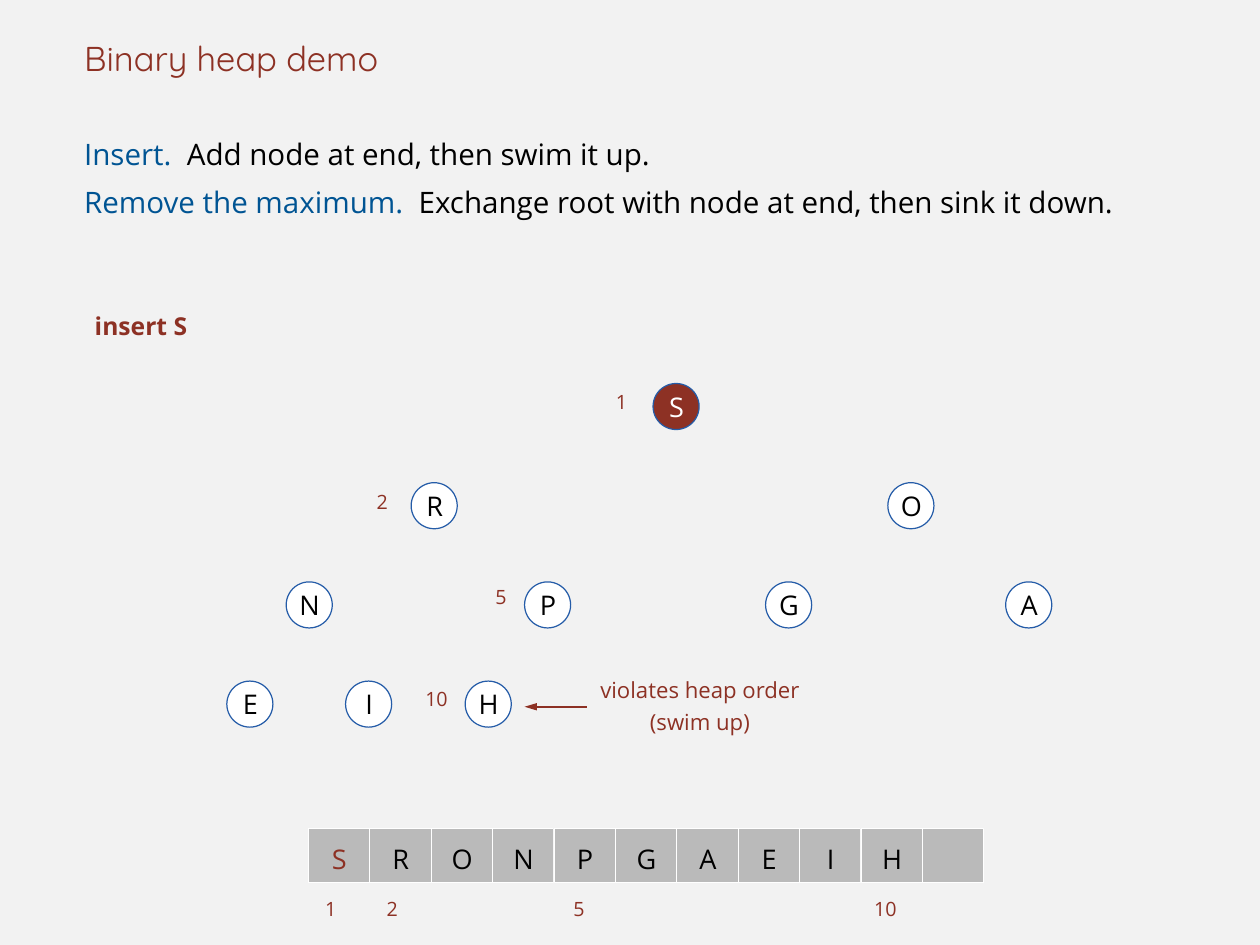
from lxml import etree
from pptx import Presentation
from pptx.dml.color import RGBColor
from pptx.enum import shapes, text
from pptx.oxml import ns
from pptx.util import Inches, Pt

PAPER = RGBColor(0xF2, 0xF2, 0xF2)
RED = RGBColor(0x8D, 0x31, 0x24)
BLUE = RGBColor(0x00, 0x54, 0x93)
RIM = RGBColor(0x25, 0x5C, 0xA8)
GREY = RGBColor(0xBA, 0xBA, 0xBA)
WHITE = RGBColor(0xFF, 0xFF, 0xFF)
BLACK = RGBColor(0x00, 0x00, 0x00)

SANS = "Open Sans"
LEFT, MID = text.PP_ALIGN.LEFT, text.PP_ALIGN.CENTER
TOP, CENTER, BOTTOM = (text.MSO_ANCHOR.TOP, text.MSO_ANCHOR.MIDDLE,
                       text.MSO_ANCHOR.BOTTOM)

HEAP = "SRONPGAEIH"
SLOTS = 11
NODE_X = [7.63, 4.9, 10.28, 3.49, 6.18, 8.9, 11.61, 2.82, 4.16, 5.51]
# Index label offsets: from the node's centre, and from the array cell's left
NODE_TAGS = {1: (-0.74, -0.19), 2: (-0.71, -0.18), 5: (-0.65, -0.23), 10: (-0.77, -0.19)}
CELL_TAGS = {1: 0.13, 2: 0.13, 5: 0.16, 10: 0.09}


def fill_text(shape, lines, size, font=SANS, bold=False, align=LEFT,
              anchor=TOP, space=1.0, inset=0.06):
    """Write lines, each a list of (words, colour) runs, into a shape."""
    frame = shape.text_frame
    look = {"word_wrap": True, "vertical_anchor": anchor,
            "margin_left": Inches(inset), "margin_right": 0,
            "margin_top": 0, "margin_bottom": 0}
    for name, value in look.items():
        setattr(frame, name, value)
    for i, line in enumerate(lines):
        para = frame.add_paragraph() if i else frame.paragraphs[0]
        para.alignment, para.line_spacing = align, space
        for words, color in line:
            run = para.add_run()
            run.text = words
            for name, value in {"size": Pt(size), "name": font, "bold": bold}.items():
                setattr(run.font, name, value)
            run.font.color.rgb = color


def add_text(slide, box, lines, size, **style):
    fill_text(slide.shapes.add_textbox(*map(Inches, box)), lines, size, **style)


def add_block(slide, kind, box, fill, edge, width, letter, color, space=1.0):
    """Add a filled shape with one centred letter."""
    block = slide.shapes.add_shape(kind, *map(Inches, box))
    block.shadow.inherit = False
    block.fill.solid()
    block.fill.fore_color.rgb = fill
    block.line.color.rgb = edge
    block.line.width = Pt(width)
    if letter:
        fill_text(block, [[(letter, color)]], 22, align=MID, anchor=CENTER,
                  space=space, inset=0.01)


def add_tag(slide, x, y, index, space=1.0):
    width = 0.33 if index < 10 else 0.47
    add_text(slide, (x, y, width, 0.36), [[(str(index), RED)]], 16, space=space)


def add_intro(slide, x, width):
    add_text(slide, (x, 0, width, 0.89), [[("Binary heap demo", RED)]], 28,
             font="Quicksand", anchor=BOTTOM)
    rules = [("Insert.  ", "Add node at end, then swim it up."),
             ("Remove the maximum.  ",
              "Exchange root with node at end, then sink it down.")]
    add_text(slide, (x, 1.39, width, 1.2),
             [[(term, BLUE), (rule, BLACK)] for term, rule in rules],
             24, space=Pt(39))
    add_text(slide, (x + 0.12, 3.51, 1.27, 0.43), [[("insert S", RED)]], 20, bold=True)


def add_tree(slide, top, step, size):
    for index, (letter, x) in enumerate(zip(HEAP, NODE_X), 1):
        y = top + step * (index.bit_length() - 1)
        fill, ink = (RED, WHITE) if index == 1 else (WHITE, BLACK)
        add_block(slide, shapes.MSO_SHAPE.OVAL,
                  (x - size / 2, y - size / 2, size, size), fill, RIM, 1, letter, ink)
        if index in NODE_TAGS:
            dx, dy = NODE_TAGS[index]
            add_tag(slide, x + dx, y + dy, index)


def add_note(slide, x, y):
    """Add the arrow, its tip at x and y, and the remark beside it."""
    arrow = slide.shapes.add_connector(shapes.MSO_CONNECTOR.STRAIGHT,
                                       *map(Inches, (x, y, x + 0.71, y)))
    arrow.line.color.rgb = RED
    arrow.line.width = Pt(2)
    etree.SubElement(arrow.line._get_or_add_ln(), ns.qn("a:headEnd"),
                     type="triangle", w="med", len="lg")
    etree.SubElement(arrow._element.spPr, ns.qn("a:effectLst"))
    add_text(slide, (x + 0.65, y - 0.4, 2.6, 0.75),
             [[("violates heap order", RED)], [("(swim up)", RED)]], 18,
             align=MID, space=1.2)


def add_array(slide, x, y, width, height):
    cell = 0.69
    step = (width - cell) / (SLOTS - 1)
    for i, letter in enumerate(HEAP.ljust(SLOTS)):
        left = x + i * step
        add_block(slide, shapes.MSO_SHAPE.RECTANGLE, (left, y, cell, height),
                  GREY, WHITE, 0.5, letter.strip(), BLACK if i else RED, 1.2)
        if i + 1 in CELL_TAGS:
            add_tag(slide, left + CELL_TAGS[i + 1], y + 0.64, i + 1, 1.5)


def main():
    deck = Presentation()
    deck.slide_width, deck.slide_height = Inches(14.22), Inches(10.67)
    slide = deck.slides.add_slide(deck.slide_layouts[6])
    slide.background.fill.solid()
    slide.background.fill.fore_color.rgb = PAPER
    add_intro(slide, 0.89, 12.44)
    add_array(slide, 3.48, 9.35, 7.62, 0.61)
    add_tree(slide, 4.59, 1.12, 0.52)
    add_note(slide, 5.92, 7.98)
    deck.save("out.pptx")


if __name__ == "__main__":
    main()
